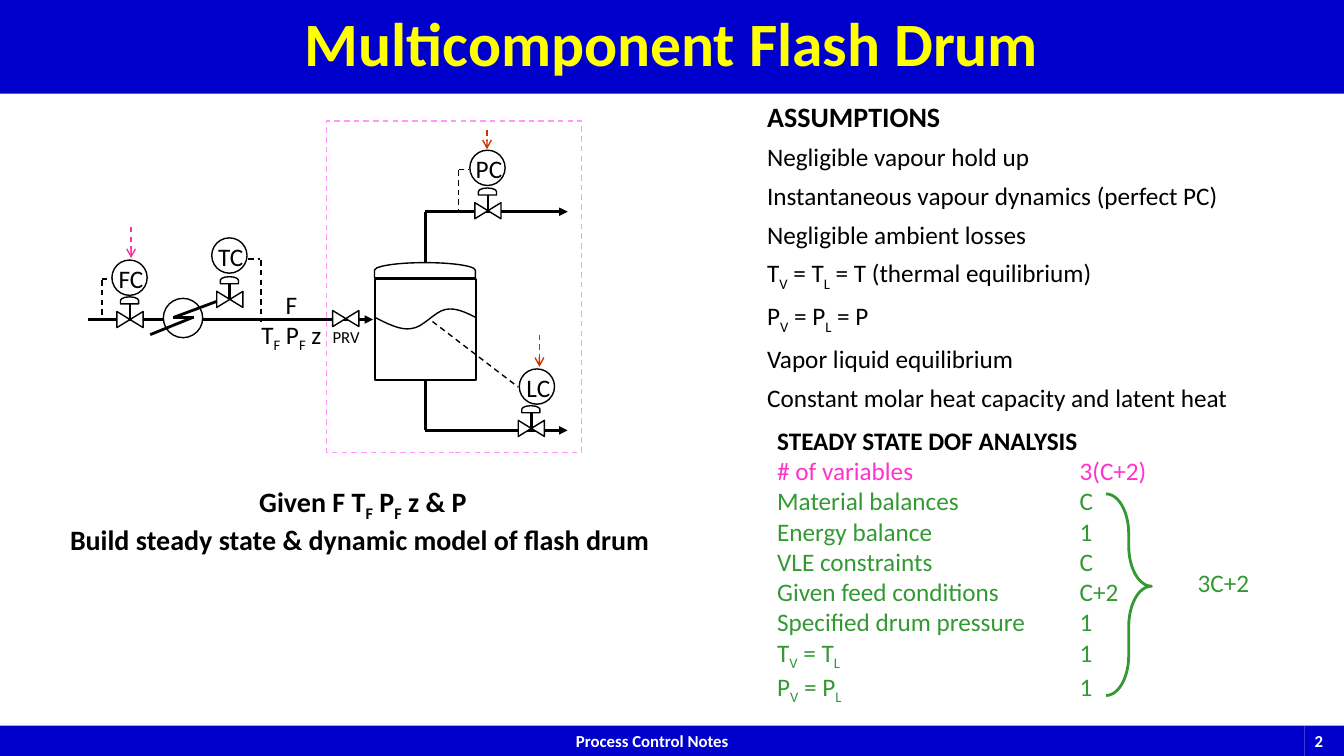
import pptx
import pptx.util
import pptx.dml.color
import pptx.enum.dml
import pptx.enum.shapes
import pptx.enum.text
import lxml.etree
import pptx.oxml.ns

Inches, Pt = pptx.util.Inches, pptx.util.Pt
RGB = pptx.dml.color.RGBColor.from_string
SHAPE = pptx.enum.shapes.MSO_SHAPE
DASH = pptx.enum.dml.MSO_LINE.DASH
ALIGN = pptx.enum.text.PP_ALIGN
ANCHOR = pptx.enum.text.MSO_ANCHOR
qn = pptx.oxml.ns.qn
COLORS = {
    "black": "000000", "white": "FFFFFF", "blue": "0000CC", "yellow": "FFFF00",
    "pink": "FF3399", "red": "CC3300", "frame": "FF99FF",
    "magenta": "FF33CC", "green": "339933",
}

prs = pptx.Presentation()
prs.slide_width, prs.slide_height = Inches(13.33), Inches(7.5)
s = prs.slides.add_slide(prs.slide_layouts[6])


def draw_shape(kind, x, y, w, h, fill=None, line="black", width=1, rotation=0):
    """Add a preset shape with its fill and outline; None leaves either off."""
    sp = s.shapes.add_shape(kind, Inches(x), Inches(y), Inches(w), Inches(h))
    sp.shadow.inherit = False
    sp.rotation = rotation
    if fill:
        sp.fill.solid()
        sp.fill.fore_color.rgb = RGB(COLORS[fill])
    else:
        sp.fill.background()
    if line:
        sp.line.color.rgb = RGB(COLORS[line])
        sp.line.width = Pt(width)
    else:
        sp.line.fill.background()
    return sp


def draw_line(x1, y1, x2, y2, width=2, color="black", dash=False, arrow=None):
    """Add a straight line, with an optional arrowhead at its end."""
    cn = s.shapes.add_connector(pptx.enum.shapes.MSO_CONNECTOR.STRAIGHT,
                                Inches(x1), Inches(y1), Inches(x2), Inches(y2))
    cn.line.color.rgb = RGB(COLORS[color])
    cn.line.width = Pt(width)
    if dash:
        cn.line.dash_style = DASH
    if arrow:
        lxml.etree.SubElement(cn.line._get_or_add_ln(), qn("a:tailEnd"), type=arrow)
    lxml.etree.SubElement(cn._element.spPr, qn("a:effectLst"))


# Banner and footer
footer = draw_shape(SHAPE.RECTANGLE, 0, 7.2, 12.94, 0.3, "blue", None)
page = draw_shape(SHAPE.RECTANGLE, 12.94, 7.2, 0.39, 0.3, "blue", None)
title = draw_shape(SHAPE.RECTANGLE, 0, 0, 13.33, 0.93, "blue", None)

# Drum with its liquid level, whose curves are sampled in EMU
draw_shape(SHAPE.RECTANGLE, 3.72, 2.77, 1, 1)
draw_shape(SHAPE.FLOWCHART_DELAY, 4.14, 2.18, 0.15, 1, rotation=270)
curves = [
    ((3.72, 3.15), (3.84, 3.21), (3.97, 3.28), (4.08, 3.26)),
    ((4.08, 3.26), (4.20, 3.25), (4.31, 3.09), (4.42, 3.07)),
    ((4.42, 3.07), (4.52, 3.05), (4.62, 3.10), (4.72, 3.15)),
]
points = []
for curve in curves:
    for step in range(1, 9):
        t = step / 8
        weights = ((1 - t) ** 3, 3 * t * (1 - t) ** 2, 3 * t * t * (1 - t), t ** 3)
        points.append([Inches(sum(k * pt[i] for k, pt in zip(weights, curve)))
                       for i in (0, 1)])
fb = s.shapes.build_freeform(*map(Inches, curves[0][0]))
fb.add_line_segments(points, close=False)
level = fb.convert_to_shape()
level.shadow.inherit = False
level.fill.background()
level.line.color.rgb = RGB(COLORS["black"])
level.line.width = Pt(1)

# Process streams: feed, liquid, vapour
draw_line(0.87, 3.17, 3.7, 3.17, arrow="triangle")
for y, drum_y in ((4.27, 3.77), (2.1, 2.6)):
    draw_line(4.22, y, 5.63, y, arrow="triangle")
    draw_line(4.22, y, 4.22, drum_y)

# Heat exchanger
draw_shape(SHAPE.OVAL, 1.62, 2.96, 0.39, 0.39, "white")
for ends in ((2.15, 2.99, 1.72, 3.15), (1.92, 3.15, 1.72, 3.15), (1.91, 3.15, 1.49, 3.32)):
    draw_line(*ends)

# Valves by centre; the pressure reducing valve has no actuator
for x, y, actuated in ((4.84, 2.09, True), (5.27, 4.25, True), (1.29, 3.17, True),
                       (2.28, 2.97, True), (3.43, 3.16, False)):
    draw_shape(SHAPE.FLOWCHART_COLLATE, x - 0.08, y - 0.13, 0.16, 0.26, "white", rotation=270)
    if actuated:
        draw_shape(SHAPE.FLOWCHART_DELAY, x - 0.04, y - 0.28, 0.07, 0.18, rotation=270)
        draw_line(x, y, x, y - 0.16)

# Measurement signals and setpoints
for ends in ((4.55, 1.68, 4.65, 1.68), (4.55, 1.69, 4.55, 2.09), (4.29, 3.19, 5.14, 3.84),
             (1.01, 2.77, 1.11, 2.77), (1.01, 2.78, 1.01, 3.18),
             (2.46, 2.57, 2.58, 2.57), (2.59, 2.58, 2.59, 3.19)):
    draw_line(*ends, width=1, dash=True)
for x, top, bottom, color in ((1.3, 2.25, 2.56, "pink"), (5.35, 3.32, 3.64, "red"),
                              (4.83, 1.29, 1.48, "red")):
    draw_line(x, top, x, bottom, 1, color, True, "arrow")

boundary = draw_shape(SHAPE.RECTANGLE, 3.24, 1.2, 2.53, 3.29, line="frame")
boundary.line.dash_style = DASH
brace = draw_shape(SHAPE.RIGHT_BRACE, 10.97, 4.9, 0.45, 2, line="green", width=2)
brace.adjustments[0], brace.adjustments[1] = 0.886, 0.458

# Texts: holder or box, alignment, space after, blocks of (size, bold, colour, lines).
# Underscores enclose subscripts.
texts = [
    (footer, ALIGN.CENTER, 0, [(12, True, "white", ["Process Control Notes"])]),
    (page, ALIGN.LEFT, 0, [(12, True, "white", ["2"])]),
    (title, ALIGN.CENTER, 0, [(44, True, "yellow", ["Multicomponent Flash Drum"])]),
    ((2.48, 2.82, 0.82, 0.71), ALIGN.CENTER, 0,
     [(18, False, "black", ["F", "T_F_ P_F_ z"])]),
    ((3.2, 3.19, 0.47, 0.3), ALIGN.LEFT, 0, [(12, False, "black", ["PRV"])]),
    ((0.57, 4.76, 6.06, 0.77), ALIGN.CENTER, 0,
     [(20, True, "black", ["Given F T_F_ P_F_ z & P",
                           "Build steady state & dynamic model of flash drum "])]),
    ((7.51, 0.94, 4.82, 3.15), ALIGN.LEFT, 6, [
        (20, True, "black", ["ASSUMPTIONS"]),
        (18, False, "black", [
            "Negligible vapour hold up", "Instantaneous vapour dynamics (perfect PC)",
            "Negligible ambient losses", "T_V_ = T_L_ = T (thermal equilibrium)",
            "P_V_ = P_L_ = P", "Vapor liquid equilibrium",
            "Constant molar heat capacity and latent heat"])]),
    ((7.61, 4.17, 3.9, 2.83), ALIGN.LEFT, 0, [
        (18, True, "black", ["STEADY STATE DOF ANALYSIS"]),
        (18, False, "magenta", ["# of variables\t3(C+2)"]),
        (18, False, "green", [
            "Material balances\tC", "Energy balance\t1", "VLE constraints\tC",
            "Given feed conditions\tC+2", "Specified drum pressure\t1",
            "T_V_ = T_L_\t1", "P_V_ = P_L_\t1"])]),
    ((11.78, 5.58, 0.72, 0.4), ALIGN.LEFT, 0, [(18, False, "green", ["3C+2"])]),
]

# Controllers by circle centre
for name, x, y in (("PC", 4.84, 1.67), ("LC", 5.33, 3.84),
                   ("FC", 1.29, 2.76), ("TC", 2.28, 2.54)):
    draw_shape(SHAPE.OVAL, x - 0.18, y - 0.18, 0.35, 0.35)
    texts.append(((x - 0.22, y - 0.2, 0.46, 0.4), ALIGN.CENTER, 0,
                  [(18, False, "black", [name])]))

for holder, align, space_after, blocks in texts:
    is_box = isinstance(holder, tuple)
    sp = s.shapes.add_textbox(*map(Inches, holder)) if is_box else holder
    tf = sp.text_frame
    tf.word_wrap = not is_box
    tf.vertical_anchor = ANCHOR.TOP if is_box else ANCHOR.MIDDLE
    rows = [(size, bold, color, row) for size, bold, color, lines in blocks for row in lines]
    for i, (size, bold, color, row) in enumerate(rows):
        p = tf.add_paragraph() if i else tf.paragraphs[0]
        p.alignment = align
        p.space_after = Pt(space_after)
        p.font.name, p.font.size, p.font.bold = "Calibri", Pt(size), bold
        p.font.color.rgb = RGB(COLORS[color])
        if "\t" in row:
            tabs = lxml.etree.Element(qn("a:tabLst"))
            lxml.etree.SubElement(tabs, qn("a:tab"), pos=str(Inches(3)), algn="l")
            p._p.get_or_add_pPr().find(qn("a:defRPr")).addprevious(tabs)
        for j, part in enumerate(row.split("_")):
            if part:
                r = p.add_run()
                r.text = part
                if j % 2:
                    r._r.get_or_add_rPr().set("baseline", "-25000")

title.text_frame.paragraphs[0].line_spacing = 0.9
prs.save("out.pptx")
